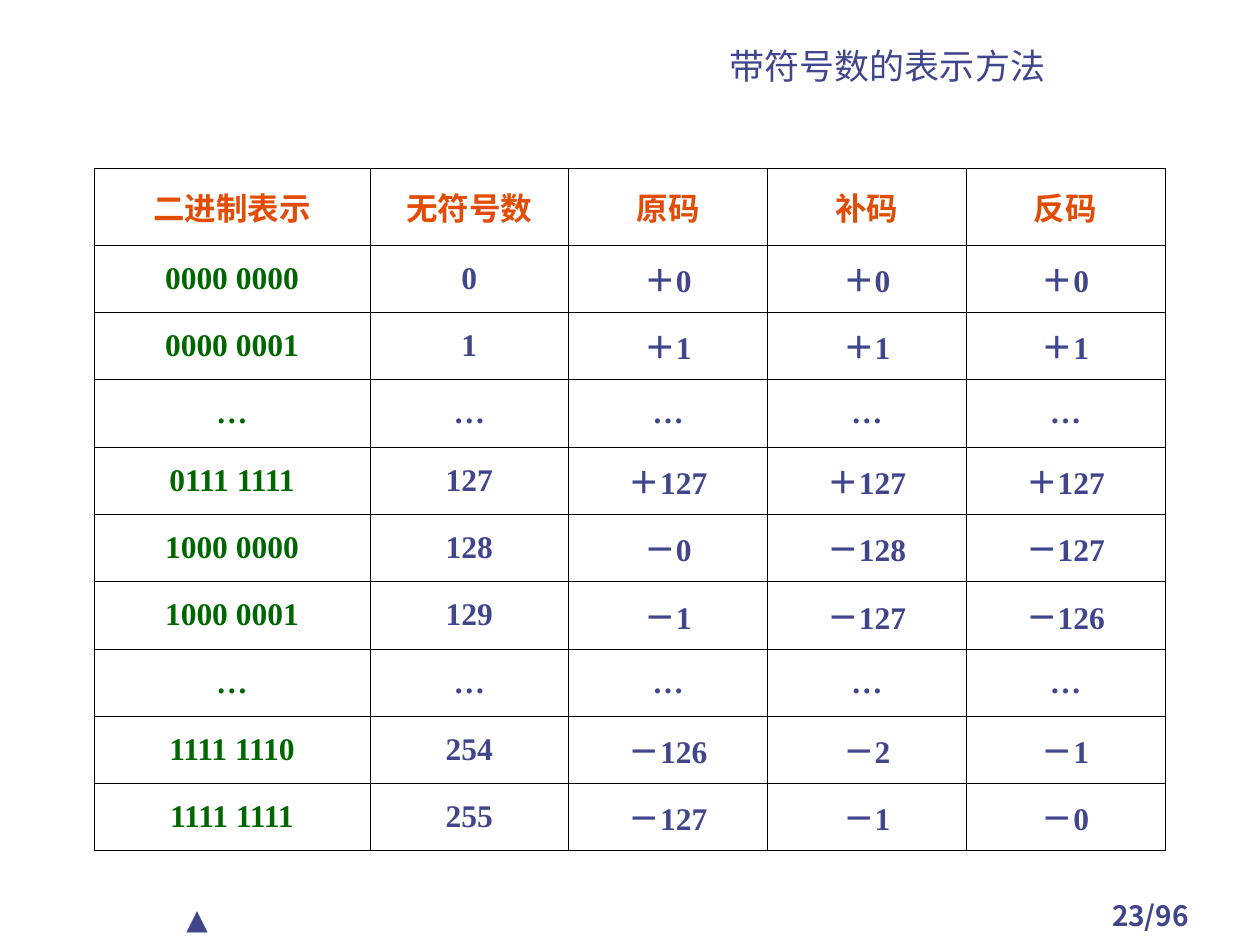
from dataclasses import dataclass

from lxml.etree import SubElement
from pptx import Presentation
from pptx.dml.color import RGBColor
from pptx.enum.text import MSO_ANCHOR as Anchor, PP_ALIGN as Align
from pptx.oxml.ns import qn
from pptx.util import Emu, Pt

PX_PER_INCH = 126
EMU_PER_INCH = 914400


@dataclass(frozen=True)
class Theme:
    ink: str = "40458C"
    heading: str = "E24C05"
    binary: str = "006600"
    border: str = "000000"
    cjk_font: str = "Noto Sans CJK SC"
    table_font: str = "Times New Roman"
    marker_font: str = "Karla"
    title_size: int = 20
    table_size: int = 18
    footer_size: int = 16
    border_width: float = 0.45


THEME = Theme()

HEADINGS = ["二进制表示", "无符号数", "原码", "补码", "反码"]
ELLIPSIS = ["…"] * len(HEADINGS)
CODES = [
    ["0000 0000", "0", "＋0", "＋0", "＋0"],
    ["0000 0001", "1", "＋1", "＋1", "＋1"],
    ELLIPSIS,
    ["0111 1111", "127", "＋127", "＋127", "＋127"],
    ["1000 0000", "128", "－0", "－128", "－127"],
    ["1000 0001", "129", "－1", "－127", "－126"],
    ELLIPSIS,
    ["1111 1110", "254", "－126", "－2", "－1"],
    ["1111 1111", "255", "－127", "－1", "－0"],
]


def px(length):
    return Emu(round(length * EMU_PER_INCH / PX_PER_INCH))


def write(frame, text, size, font, color=THEME.ink, bold=False, align=Align.CENTER):
    frame.text = text
    paragraph = frame.paragraphs[0]
    paragraph.alignment = align
    run = paragraph.runs[0]
    run.font.size = Pt(size)
    run.font.name = font
    run.font.bold = bold
    run.font.color.rgb = RGBColor.from_string(color)
    SubElement(run.font._element, qn("a:ea")).set("typeface", THEME.cjk_font)
    return paragraph


def add_title(slide, text):
    title = slide.shapes.title
    title.left, title.top, title.width, title.height = map(px, (536, 34, 703, 53))
    frame = title.text_frame
    frame.margin_left = frame.margin_right = frame.margin_top = frame.margin_bottom = 0
    frame.vertical_anchor = Anchor.BOTTOM
    write(frame, text, THEME.title_size, THEME.cjk_font)


def add_label(slide, bounds, text, font, **style):
    frame = slide.shapes.add_textbox(*map(px, bounds)).text_frame
    frame.word_wrap = True
    return write(frame, text, THEME.footer_size, font, **style)


def draw_borders(cell):
    properties = cell._tc.get_or_add_tcPr()
    for side in ("a:lnL", "a:lnR", "a:lnT", "a:lnB"):
        line = SubElement(properties, qn(side), w=str(Pt(THEME.border_width)))
        fill = SubElement(line, qn("a:solidFill"))
        SubElement(fill, qn("a:srgbClr"), val=THEME.border)


def fill_cell(cell, text, color):
    cell.vertical_anchor = Anchor.MIDDLE
    draw_borders(cell)
    cell.fill.background()
    write(cell.text_frame, text, THEME.table_size, THEME.table_font, color, bold=True)


def add_code_table(slide):
    rows = [HEADINGS] + CODES
    left, top, width, height = map(px, (94, 168, 1071, 683))
    table = slide.shapes.add_table(
        len(rows), len(HEADINGS), left, top, width, height
    ).table
    table.first_row = table.horz_banding = False

    binary_width, heading_height = px(276), px(77)
    code_width = (width - binary_width) // (len(HEADINGS) - 1)
    code_height = (height - heading_height) // len(CODES)
    for index, column in enumerate(table.columns):
        column.width = code_width if index else binary_width
    for index, row in enumerate(table.rows):
        row.height = code_height if index else heading_height

    for row_index, values in enumerate(rows):
        for column_index, value in enumerate(values):
            if row_index == 0:
                color = THEME.heading
            elif column_index == 0:
                color = THEME.binary
            else:
                color = THEME.ink
            fill_cell(table.cell(row_index, column_index), value, color)


def main():
    deck = Presentation()
    deck.slide_width, deck.slide_height = px(1260), px(945)
    slide = deck.slides.add_slide(deck.slide_layouts[5])
    add_label(slide, (1061, 892, 179, 42), "23/96", THEME.cjk_font, bold=True)
    marker = add_label(
        slide, (174, 895, 179, 47), "▲", THEME.marker_font, align=Align.LEFT
    )
    marker.space_before = Pt(10)
    add_title(slide, "带符号数的表示方法")
    add_code_table(slide)
    deck.save("out.pptx")


if __name__ == "__main__":
    main()
